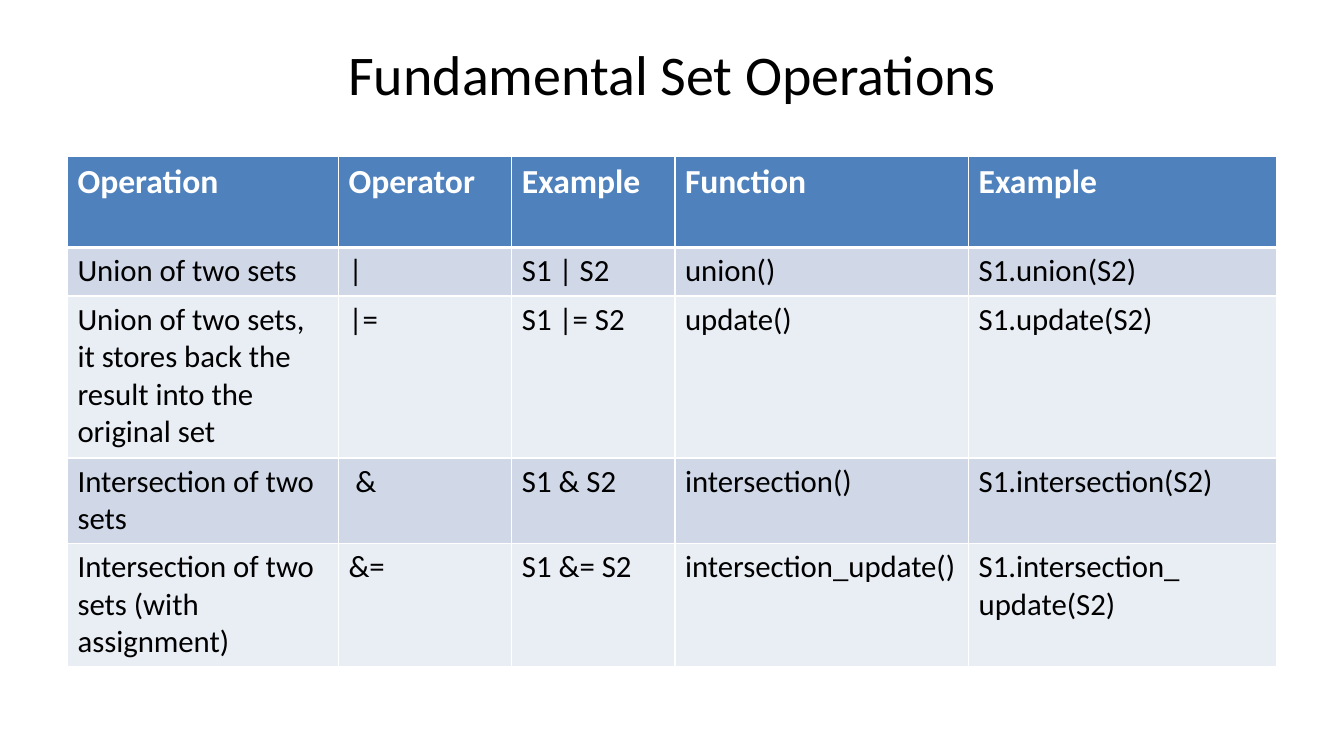
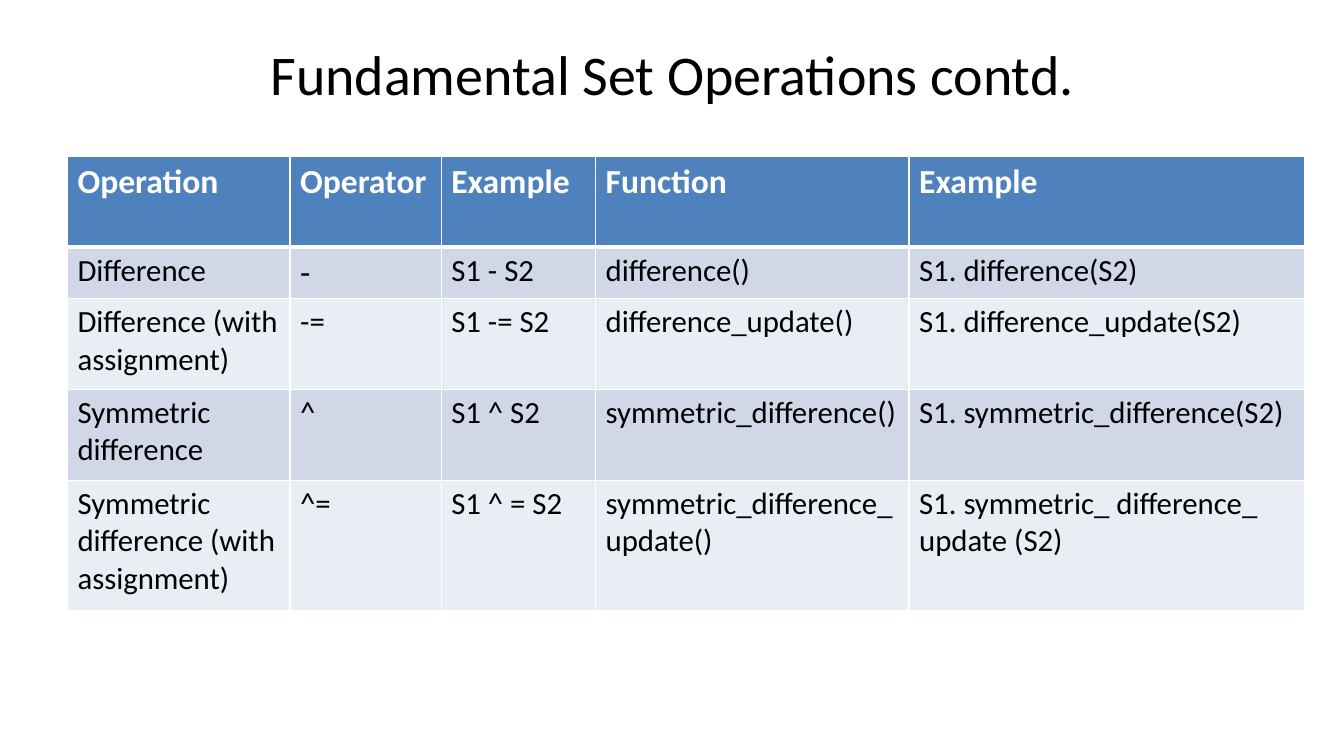
from lxml.etree import SubElement
from pptx import Presentation
from pptx.dml.color import RGBColor
from pptx.enum.text import MSO_ANCHOR, PP_ALIGN
from pptx.oxml.ns import qn
from pptx.util import Cm, Pt

FONT = "Calibri"
COLORS = {"text": "000000", "white": "FFFFFF", "header": "4F81BD",
          "odd": "D0D8E8", "even": "E9EDF4"}
HEADER = ("Operation", "Operator", "Example", "Function", "Example")
LEFT, TITLE_TOP, TABLE_TOP = 1.7, 0.76, 3.94
TITLE_W, TITLE_H = 30.48, 3.18

SLIDES = [
    {
        "title": "Fundamental Set Operations",
        "cols": (6.83, 4.37, 4.11, 7.4, 7.77),
        "heights": (2.3, 1.22, 4.08, 2.16, 3.1),
        "sizes": {},
        "rows": [
            ("Union of two sets", "|", "S1 | S2", "union()", "S1.union(S2)"),
            ("Union of two sets, it stores back the result into the original set",
             "|=", "S1 |= S2", "update()", "S1.update(S2)"),
            ("Intersection of two sets", " &", "S1 & S2",
             "intersection()", "S1.intersection(S2)"),
            ("Intersection of two sets (with assignment)", "&=", "S1 &= S2",
             "intersection_update()", "S1.intersection_ update(S2)"),
        ],
    },
    {
        "title": "Fundamental Set Operations contd.",
        "cols": (5.61, 3.81, 3.89, 7.9, 9.96),
        "heights": (2.29, 1.27, 2.29, 2.29, 3.3),
        "sizes": {(1, 1): 24},
        "rows": [
            ("Difference", "-", "S1 - S2", "difference()", "S1. difference(S2)"),
            ("Difference (with assignment)", "-=", "S1 -= S2",
             "difference_update()", "S1. difference_update(S2)"),
            ("Symmetric difference", "^", "S1 ^ S2",
             "symmetric_difference()", "S1. symmetric_difference(S2)"),
            ("Symmetric difference (with assignment)", "^=", "S1 ^ = S2",
             "symmetric_difference_update()",
             "S1. symmetric_ difference_ update (S2)"),
        ],
    },
]


def write(tf, text, size=22, color="text", bold=False, align=PP_ALIGN.LEFT):
    p = tf.paragraphs[0]
    p.alignment = align
    r = p.add_run()
    r.text = text
    r.font.name = FONT
    r.font.size = Pt(size)
    r.font.bold = bold
    r.font.color.rgb = RGBColor.from_string(COLORS[color])


def set_borders(cell, top=1, bottom=1):
    props = cell._tc.get_or_add_tcPr()
    for side, width in (("L", 1), ("R", 1), ("T", top), ("B", bottom)):
        line = SubElement(props, qn(f"a:ln{side}"), w=str(Pt(width)))
        fill = SubElement(line, qn("a:solidFill"))
        SubElement(fill, qn("a:srgbClr"), val=COLORS["white"])


def add_title(s, text):
    sp = s.shapes.title
    sp.left, sp.top = Cm(LEFT), Cm(TITLE_TOP)
    sp.width, sp.height = Cm(TITLE_W), Cm(TITLE_H)
    tf = sp.text_frame
    tf.vertical_anchor = MSO_ANCHOR.TOP
    tf.margin_top = Cm(0.23)
    write(tf, text, size=40, align=PP_ALIGN.CENTER)


def add_operations(s, rows, cols, heights, sizes):
    rows = [HEADER, *rows]
    table = s.shapes.add_table(len(rows), len(cols), Cm(LEFT), Cm(TABLE_TOP),
                               Cm(sum(cols)), Cm(sum(heights))).table
    for column, width in zip(table.columns, cols):
        column.width = Cm(width)
    for i, values in enumerate(rows):
        table.rows[i].height = Cm(heights[i])
        head = i == 0
        band = "header" if head else "odd" if i % 2 else "even"
        for j, text in enumerate(values):
            cell = table.cell(i, j)
            set_borders(cell, top=3 if i == 1 else 1, bottom=3 if head else 1)
            cell.fill.solid()
            cell.fill.fore_color.rgb = RGBColor.from_string(COLORS[band])
            write(cell.text_frame, text, bold=head,
                  size=24 if head else sizes.get((i, j), 22),
                  color="white" if head else "text")


def main():
    prs = Presentation()
    prs.slide_width, prs.slide_height = Cm(33.87), Cm(19.05)
    for data in SLIDES:
        s = prs.slides.add_slide(prs.slide_layouts[5])
        add_title(s, data["title"])
        add_operations(s, data["rows"], data["cols"], data["heights"], data["sizes"])
    prs.save("out.pptx")


if __name__ == "__main__":
    main()
